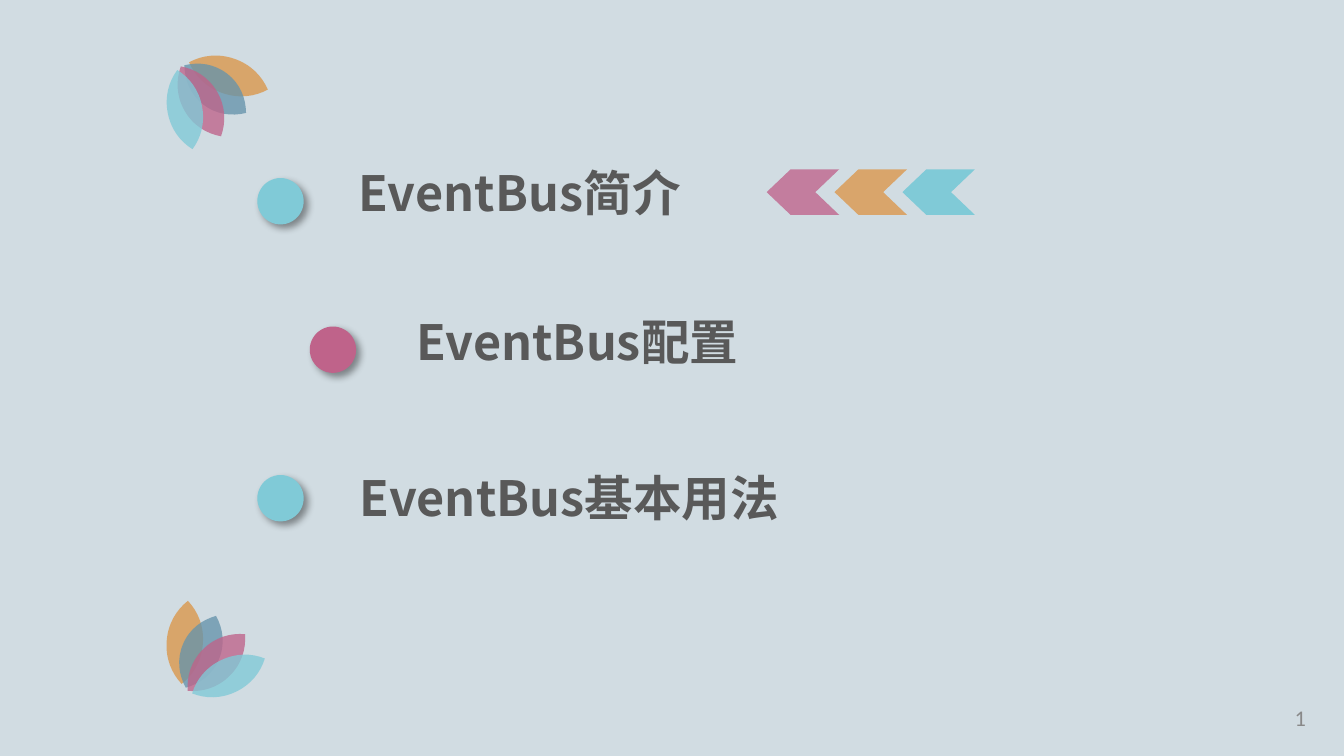
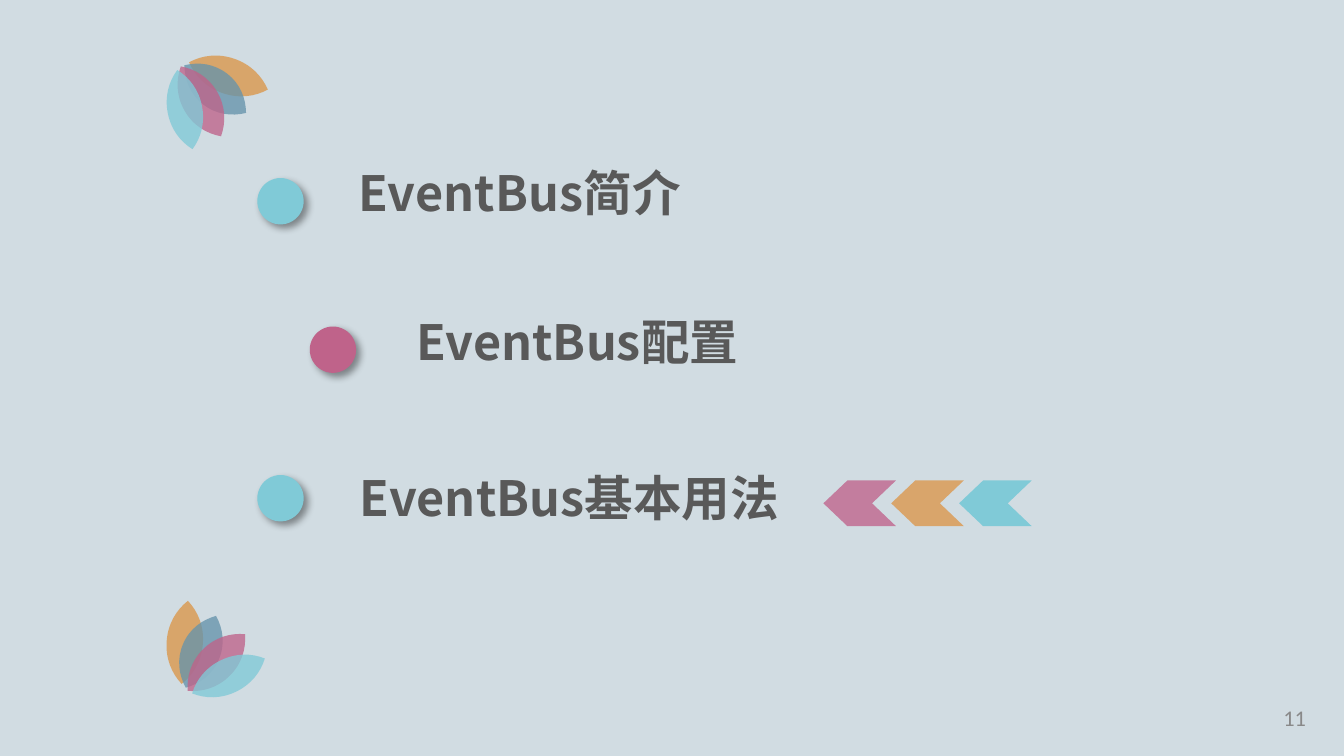
import math
from dataclasses import dataclass

import lxml.etree
import pptx
import pptx.dml.color
import pptx.enum.shapes
import pptx.enum.text
import pptx.oxml.ns
import pptx.util


# Theme and grid: 100 columns by 56.25 rows of square cells
class Theme:
    background = "D1DCE2"
    text = "595959"
    number = "898989"
    orange, blue, pink, cyan = "DB9649", "6694AB", "BF638A", "80CAD7"
    soft_orange, soft_pink = "D9A56B", "C37D9E"
    heading_font, number_font = "Noto Sans CJK SC", "Calibri"
    heading_size, number_size = 26, 12
    petal_opacity = 78


COLUMNS, ROWS = 100, 56.25
CELL = pptx.util.Inches(10) / COLUMNS


@dataclass
class Box:
    left: float
    top: float
    width: float
    height: float

    def frame(self):
        return [cells(value) for value in (self.left, self.top, self.width, self.height)]


def cells(count):
    return pptx.util.Emu(round(count * CELL))


def add_child(parent, tag, **attributes):
    child = lxml.etree.SubElement(parent, pptx.oxml.ns.qn(tag))
    for name, value in attributes.items():
        child.set(name, str(value))
    return child


def paint(shape, color, opacity=100):
    shape.shadow.inherit = False
    shape.line.fill.background()
    shape.fill.solid()
    shape.fill.fore_color.rgb = pptx.dml.color.RGBColor.from_string(color)
    if opacity < 100:
        properties = shape._element.spPr
        color_element = properties.find(".//" + pptx.oxml.ns.qn("a:srgbClr"))
        add_child(color_element, "a:alpha", val=opacity * 1000)


def add_text(shapes, box, text, *, font, size, color, bold=False, align=None,
             anchor=pptx.enum.text.MSO_ANCHOR.TOP, grow=False):
    frame = shapes.add_textbox(*box.frame()).text_frame
    frame.word_wrap = True
    frame.vertical_anchor = anchor
    if grow:
        frame.auto_size = pptx.enum.text.MSO_AUTO_SIZE.SHAPE_TO_FIT_TEXT
    paragraph = frame.paragraphs[0]
    paragraph.alignment = align
    run = paragraph.add_run()
    run.text = text
    run.font.name = font
    run.font.size = pptx.util.Pt(size)
    run.font.bold = bold
    run.font.color.rgb = pptx.dml.color.RGBColor.from_string(color)
    add_child(run.font._element, "a:ea", typeface=font)


# Flower: four petals fanned out, the whole turned by an angle
PETALS = [  # colour, centre offset, width, height, rotation
    (Theme.orange, (0, 0), 2.7, 6.2, 184.3),
    (Theme.blue, (1.2, 0.7), 2.9, 5.8, 22.9),
    (Theme.pink, (2.35, 1.5), 2.8, 6.0, 45.3),
    (Theme.cyan, (3.25, 2.5), 2.6, 6.0, 64.3),
]

# A leaf as shares of its box: one curved quarter, mirrored to the other three
QUARTER = [(0.5, 0), (0.8, 0.12), (1, 0.29), (1, 0.5)]
RIGHT = QUARTER + [(x, 1 - y) for x, y in QUARTER[-2::-1]]
LEAF = RIGHT + [(1 - x, 1 - y) for x, y in RIGHT[1:]]


def add_petal(shapes, box):
    corners = [(cells(box.left + x * box.width), cells(box.top + y * box.height))
               for x, y in LEAF[:-1:3]]
    builder = shapes.build_freeform(*corners[0])
    builder.add_line_segments(corners[1:], close=True)
    petal = builder.convert_to_shape()
    # Bend the straight sides into curves
    outline = petal._element.spPr.find(".//" + pptx.oxml.ns.qn("a:path"))
    for side in list(outline)[1:]:
        outline.remove(side)
    for start in range(1, len(LEAF), 3):
        curve = add_child(outline, "a:cubicBezTo")
        for x, y in LEAF[start:start + 3]:
            add_child(curve, "a:pt", x=cells(x * box.width), y=cells(y * box.height))
    add_child(outline, "a:close")
    return petal


def draw_flower(slide, center, turn):
    shapes = slide.shapes.add_group_shape().shapes
    cosine, sine = math.cos(math.radians(turn)), math.sin(math.radians(turn))
    for color, (dx, dy), width, height, rotation in PETALS:
        x = center[0] + dx * cosine - dy * sine
        y = center[1] + dx * sine + dy * cosine
        petal = add_petal(shapes, Box(x - width / 2, y - height / 2, width, height))
        petal.rotation = rotation + turn
        paint(petal, color, Theme.petal_opacity)


# Agenda: a shadowed dot and a heading for each topic
DOT = 3.45
TOPICS = [  # heading, dot colour, indent, heading offset from dot, heading width
    ("EventBus简介", Theme.cyan, 0, (6.55, -1.63), 39.4),
    ("EventBus配置", Theme.pink, 3.9, (6.95, -1.6), 43.6),
    ("EventBus基本用法", Theme.cyan, 0, (6.65, -1), 39.4),
]


def draw_topic(slide, box, heading, color, offset):
    shapes = slide.shapes.add_group_shape().shapes
    heading_box = Box(box.left + offset[0], box.top + offset[1], box.width, 5.4)
    add_text(shapes, heading_box, heading, font=Theme.heading_font,
             size=Theme.heading_size, color=Theme.text, bold=True, grow=True)
    dot = shapes.add_shape(pptx.enum.shapes.MSO_SHAPE.OVAL,
                           *Box(box.left, box.top, DOT, DOT).frame())
    paint(dot, color)
    effects = dot._element.spPr.find(pptx.oxml.ns.qn("a:effectLst"))
    shadow = add_child(effects, "a:outerShdw", blurRad=pptx.util.Pt(4),
                       dist=pptx.util.Pt(3), dir=45 * 60000, algn="tl", rotWithShape=0)
    add_child(add_child(shadow, "a:srgbClr", val="000000"), "a:alpha", val=40000)


def draw_agenda(slide, box):
    pitch = (box.height - DOT) / (len(TOPICS) - 1)
    for row, (heading, color, indent, offset, width) in enumerate(TOPICS):
        topic_box = Box(box.left + indent, box.top + row * pitch, width, DOT)
        draw_topic(slide, topic_box, heading, color, offset)


# Marker: three chevrons pointing left at the current topic
def draw_marker(slide, box):
    shapes = slide.shapes.add_group_shape().shapes
    width = 5.4
    colors = [Theme.soft_pink, Theme.soft_orange, Theme.cyan]
    pitch = (box.width - width) / (len(colors) - 1)
    for column, color in reversed(list(enumerate(colors))):
        chevron_box = Box(box.left + column * pitch, box.top, width, box.height)
        chevron = shapes.add_shape(pptx.enum.shapes.MSO_SHAPE.CHEVRON,
                                   *chevron_box.frame())
        chevron.adjustments[0] = 0.525
        chevron._element.spPr.xfrm.set("flipH", "1")
        paint(chevron, color)


def draw_number(slide, box, number):
    add_text(slide.shapes, box, str(number), font=Theme.number_font,
             size=Theme.number_size, color=Theme.number,
             align=pptx.enum.text.PP_ALIGN.RIGHT,
             anchor=pptx.enum.text.MSO_ANCHOR.MIDDLE)


def add_agenda_slide(presentation, number, marker_left, marker_top):
    slide = presentation.slides.add_slide(presentation.slide_layouts[6])
    fill = slide.background.fill
    fill.solid()
    fill.fore_color.rgb = pptx.dml.color.RGBColor.from_string(Theme.background)
    draw_flower(slide, (13.75, 47.8), turn=0)
    draw_flower(slide, (17, 5.65), turn=104.8)
    draw_agenda(slide, Box(19.15, 13.25, 50, 25.55))
    draw_marker(slide, Box(marker_left, marker_top, 15.5, 3.4))
    draw_number(slide, Box(90.95, 51.9, 7.2, 3), number)


presentation = pptx.Presentation()
presentation.slide_width = cells(COLUMNS)
presentation.slide_height = cells(ROWS)
add_agenda_slide(presentation, 1, 57.05, 12.6)
add_agenda_slide(presentation, 11, 61.27, 35.75)
presentation.save("out.pptx")
